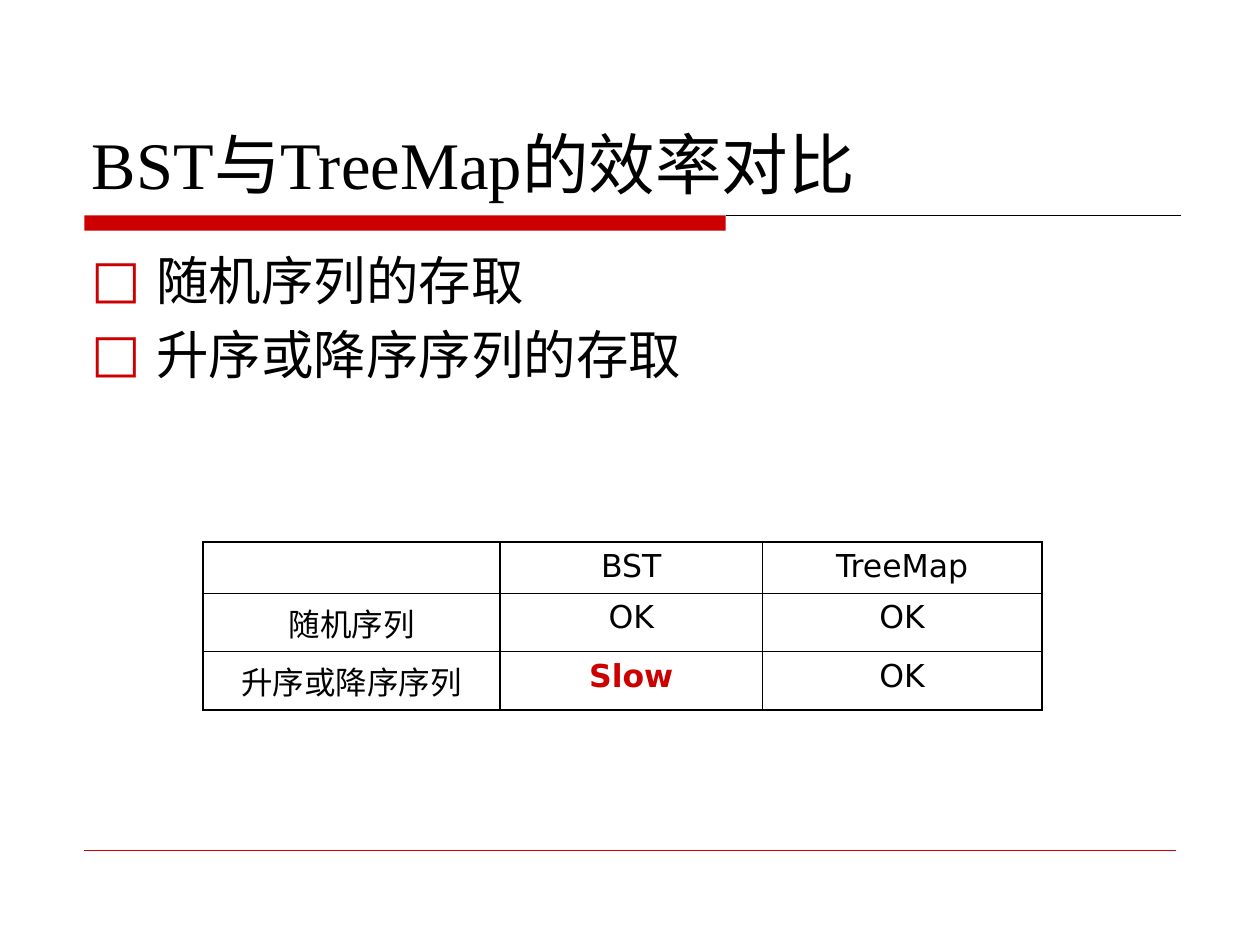
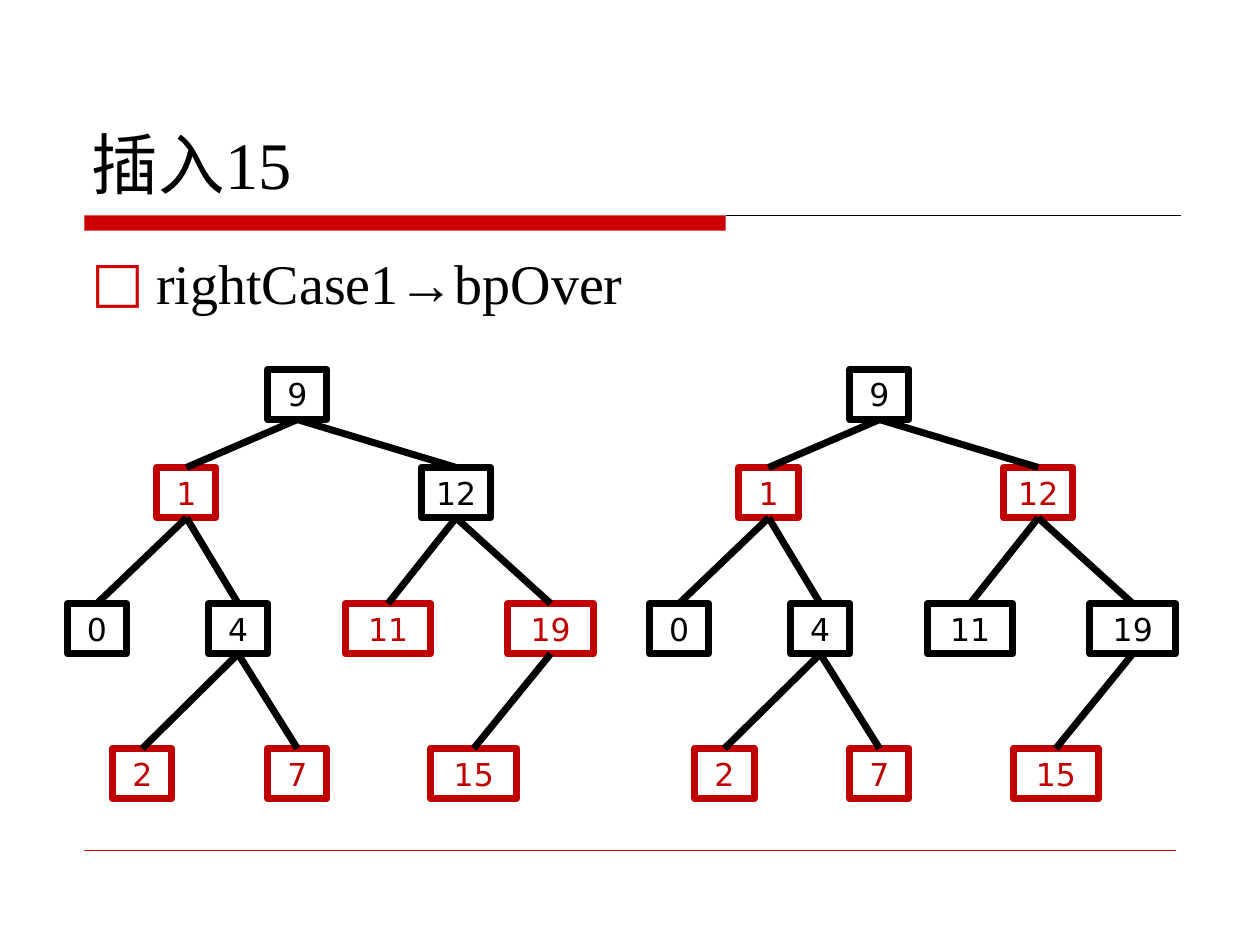
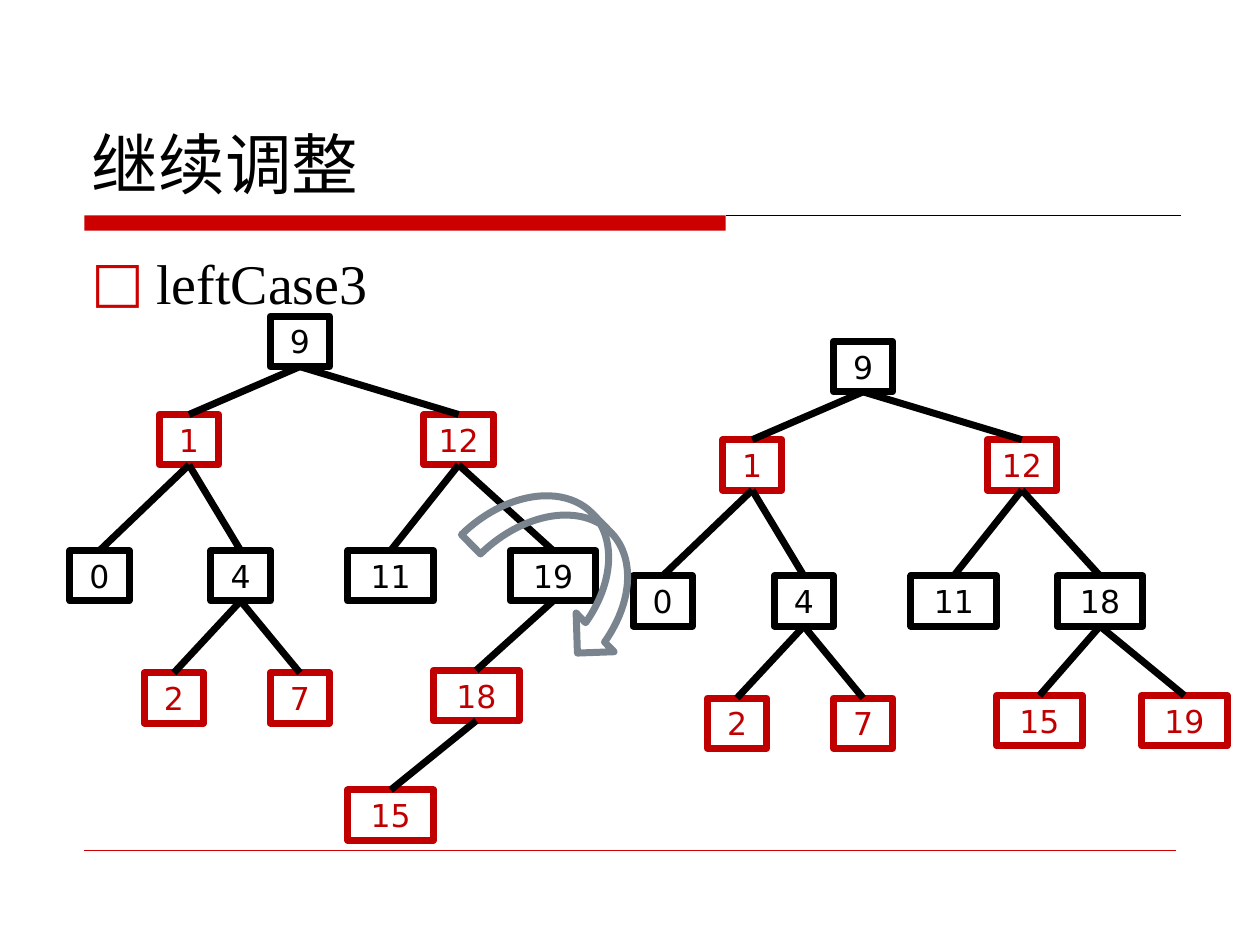
from lxml import etree
from pptx import Presentation
from pptx import util as u
from pptx.dml.color import RGBColor
from pptx.enum import shapes, text
from pptx.oxml import ns

BLACK = RGBColor(0x00, 0x00, 0x00)
RED = RGBColor(0xCC, 0x00, 0x00)
NODE_RED = RGBColor(0xC0, 0x00, 0x00)
ARROW_GRAY = RGBColor(0x79, 0x84, 0x8F)
SERIF, SANS = "Times New Roman", "DejaVu Sans"
MARGIN, RIGHT_EDGE, BAND_TOP = 0.67, 9.37, 1.71
BAND_SPLIT, FOOT_Y = 5.76, 6.75
NODE_HEIGHT = 0.4

# Tree rows, measured from the top of the root
ROW_1, ROW_2 = 0.78, 1.86


def add_line(slide, start, end, color, width):
    line = slide.shapes.add_connector(
        shapes.MSO_CONNECTOR.STRAIGHT, *[u.Inches(value) for value in start + end])
    line.line.color.rgb = color
    line.line.width = u.Pt(width)
    etree.SubElement(line.element.spPr, ns.qn("a:effectLst"))
    return line


def add_tree(slide, root_x, root_y, nodes, red_labels):
    """Draw nodes given as label: (parent label, centre x, top y), offset from the root."""
    boxes = {}
    for label, (parent, x, y) in nodes.items():
        width = 0.47 if len(label) == 1 else 0.55 if label == "12" else 0.68
        color = NODE_RED if label in red_labels else BLACK
        box = slide.shapes.add_shape(
            shapes.MSO_SHAPE.RECTANGLE, u.Inches(root_x + x - width / 2),
            u.Inches(root_y + y), u.Inches(width), u.Inches(NODE_HEIGHT))
        box.shadow.inherit = False
        box.fill.background()
        box.line.color.rgb = color
        box.line.width = u.Pt(4)
        paragraph = box.text_frame.paragraphs[0]
        paragraph.alignment = text.PP_ALIGN.CENTER
        run = paragraph.add_run()
        run.text = label
        run.font.name, run.font.size = SANS, u.Pt(18)
        run.font.color.rgb = color
        boxes[label] = box
    for label, (parent, x, y) in nodes.items():
        if parent:
            link = add_line(slide, (root_x, root_y), (root_x + x, root_y + y), BLACK, 4)
            link.begin_connect(boxes[parent], 2)
            link.end_connect(boxes[label], 0)


presentation = Presentation()
presentation.slide_width, presentation.slide_height = u.Inches(10), u.Inches(7.5)
layout = presentation.slide_layouts[1]
for placeholder, top, height in zip(layout.placeholders, (0.33, 1.92), (1.33, 4.67)):
    placeholder.left, placeholder.top = u.Inches(0.63), u.Inches(top)
    placeholder.width, placeholder.height = u.Inches(8.75), u.Inches(height)

# Titles and lists
contents = [
    ("BST与TreeMap的效率对比", 30, ["随机序列的存取", "升序或降序序列的存取"]),
    ("插入15", 32, ["rightCase1→bpOver"]),
    ("继续调整", 32, ["leftCase3"]),
]
slides = []
for title_text, body_size, items in contents:
    slide = presentation.slides.add_slide(layout)
    slides.append(slide)
    title, body = slide.placeholders
    title.text_frame.vertical_anchor = text.MSO_ANCHOR.BOTTOM
    paragraph = title.text_frame.paragraphs[0]
    paragraph.alignment = text.PP_ALIGN.LEFT
    run = paragraph.add_run()
    run.text = title_text
    run.font.name, run.font.size = SERIF, u.Pt(38)
    run.font.color.rgb = BLACK
    for index, item in enumerate(items):
        frame = body.text_frame
        paragraph = frame.add_paragraph() if index else frame.paragraphs[0]
        paragraph.space_before = u.Pt(0.2 * body_size if index else 0)
        properties = paragraph._p.get_or_add_pPr()
        properties.set("marL", str(u.Inches(0.51)))
        properties.set("indent", str(-u.Inches(0.51)))
        bullet_color = etree.SubElement(properties, ns.qn("a:buClr"))
        etree.SubElement(bullet_color, ns.qn("a:srgbClr"), val=str(RED))
        etree.SubElement(properties, ns.qn("a:buFont"), typeface=SANS)
        etree.SubElement(properties, ns.qn("a:buChar"), char="□")
        run = paragraph.add_run()
        run.text = item
        run.font.name, run.font.size = SERIF, u.Pt(body_size)
        run.font.color.rgb = BLACK

table_slide, insert_slide, adjust_slide = slides

# Shared band and rules, moved to the layout
band = table_slide.shapes.add_shape(
    shapes.MSO_SHAPE.RECTANGLE, u.Inches(MARGIN), u.Inches(BAND_TOP),
    u.Inches(BAND_SPLIT - MARGIN), u.Inches(0.12))
band.shadow.inherit = False
band.fill.solid()
band.fill.fore_color.rgb = RED
band.line.fill.background()
title_rule = add_line(table_slide, (BAND_SPLIT, BAND_TOP), (RIGHT_EDGE, BAND_TOP), BLACK, 0.75)
foot_rule = add_line(table_slide, (MARGIN, FOOT_Y), (9.33, FOOT_Y), RED, 0.25)
for shape in (band, title_rule, foot_rule):
    layout.shapes.element.append(shape.element)

# Comparison table
rows = [
    ("", "BST", "TreeMap"),
    ("随机序列", "OK", "OK"),
    ("升序或降序序列", "Slow", "OK"),
]
table = table_slide.shapes.add_table(
    3, 3, u.Inches(1.61), u.Inches(4.3), u.Inches(6.66), u.Inches(1.23)).table
table.first_row = table.horz_banding = False
for column, width in zip(table.columns, (2.36, 2.08, 2.22)):
    column.width = u.Inches(width)
for row_index, row in enumerate(rows):
    for column_index, value in enumerate(row):
        cell = table.cell(row_index, column_index)
        cell.fill.background()
        cell_properties = cell._tc.get_or_add_tcPr()
        for position, side in enumerate(("lnL", "lnR", "lnT", "lnB")):
            border = etree.Element(ns.qn(f"a:{side}"), w=str(u.Pt(1)))
            border_fill = etree.SubElement(border, ns.qn("a:solidFill"))
            etree.SubElement(border_fill, ns.qn("a:srgbClr"), val=str(BLACK))
            cell_properties.insert(position, border)
        if value:
            paragraph = cell.text_frame.paragraphs[0]
            paragraph.alignment = text.PP_ALIGN.CENTER
            run = paragraph.add_run()
            run.text = value
            run.font.name, run.font.size = SANS, u.Pt(18)
            run.font.bold = value == "Slow"
            run.font.color.rgb = RED if value == "Slow" else BLACK

# Red-black trees
top_nodes = {
    "9": (None, 0, 0),
    "1": ("9", -0.88, ROW_1), "12": ("9", 1.26, ROW_1),
    "0": ("1", -1.59, ROW_2), "4": ("1", -0.47, ROW_2), "11": ("12", 0.72, ROW_2),
}
inserted = top_nodes | {
    "19": ("12", 2.01, ROW_2),
    "2": ("4", -1.23, 3.01), "7": ("4", 0, 3.01), "15": ("19", 1.4, 3.01),
}
add_tree(insert_slide, 2.36, 2.93, inserted, {"1", "11", "19", "2", "7", "15"})
add_tree(insert_slide, 6.98, 2.93, inserted, {"1", "12", "2", "7", "15"})

adjust_nodes = top_nodes | {"2": ("4", -1, 2.83), "7": ("4", 0, 2.83)}
before_rotation = adjust_nodes | {
    "19": ("12", 2.01, ROW_2), "18": ("19", 1.4, 2.81), "15": ("18", 0.72, 3.76),
}
after_rotation = adjust_nodes | {
    "18": ("12", 1.88, ROW_2), "15": ("18", 1.4, 2.81), "19": ("18", 2.55, 2.81),
}
add_tree(adjust_slide, 6.85, 2.71, after_rotation, {"1", "12", "2", "7", "15", "19"})
add_tree(adjust_slide, 2.38, 2.51, before_rotation, {"1", "12", "2", "7", "18", "15"})

rotation_arrow = adjust_slide.shapes.add_shape(
    shapes.MSO_SHAPE.CURVED_DOWN_ARROW, u.Inches(3.74), u.Inches(4.06),
    u.Inches(1.53), u.Inches(0.86))
rotation_arrow.rotation = 45.6
rotation_arrow.shadow.inherit = False
rotation_arrow.fill.background()
rotation_arrow.line.color.rgb = ARROW_GRAY
rotation_arrow.line.width = u.Pt(4)

presentation.save("out.pptx")
